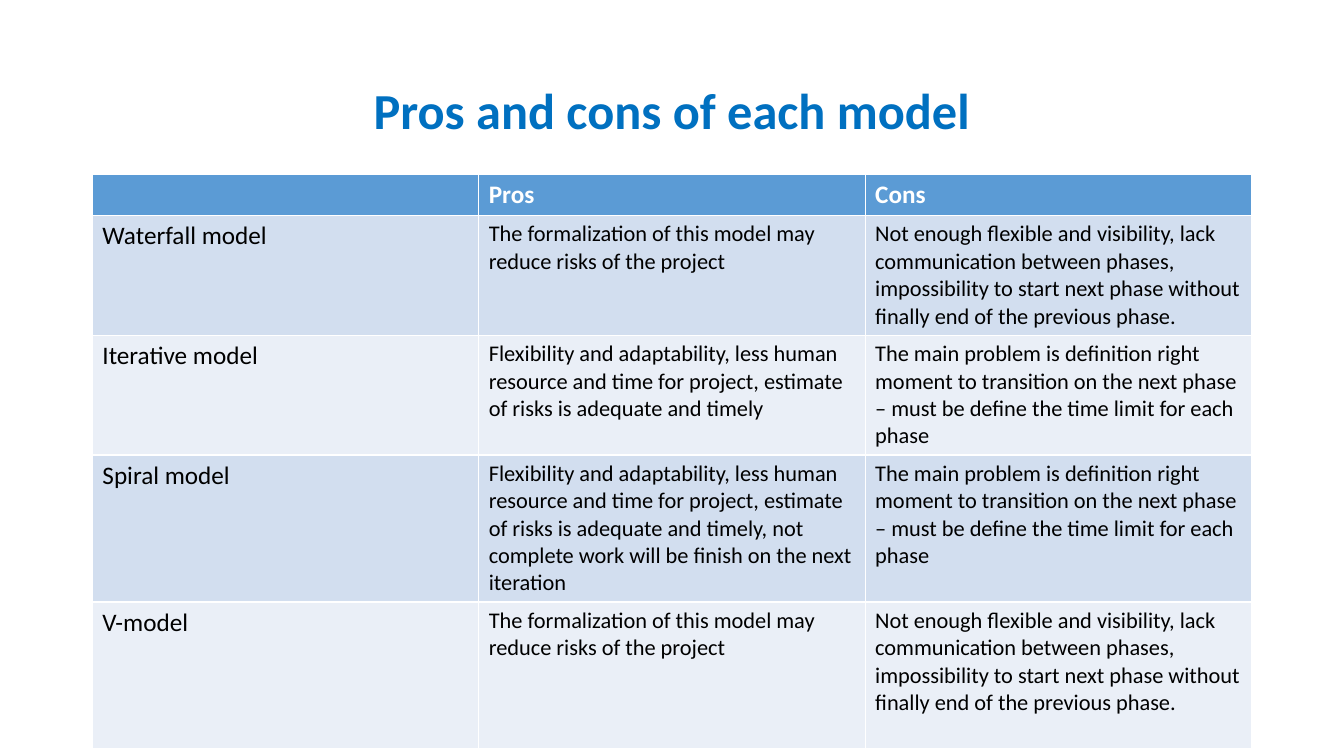
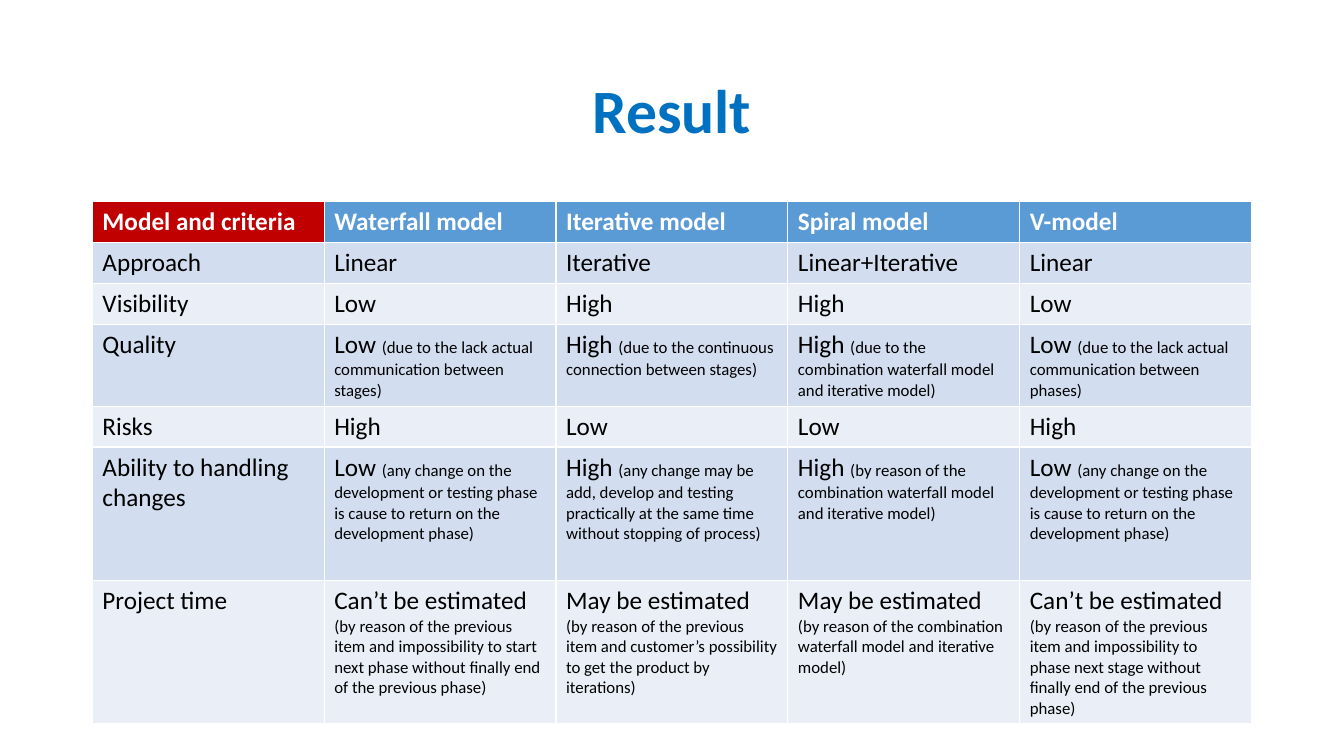
from pptx import Presentation
from pptx.dml.color import RGBColor
from pptx.enum.text import MSO_ANCHOR, MSO_AUTO_SIZE, PP_ALIGN
from pptx.util import Pt

# Shared style
FONT = "Calibri"
TITLE_BLUE = RGBColor(0x00, 0x70, 0xC0)
HEADER_BLUE = RGBColor(0x5B, 0x9B, 0xD5)
CORNER_RED = RGBColor(0xC0, 0x00, 0x00)
BAND_COLOURS = (RGBColor(0xD2, 0xDE, 0xEF), RGBColor(0xEA, 0xEF, 0xF7))
WHITE = RGBColor(0xFF, 0xFF, 0xFF)
BLACK = RGBColor(0x00, 0x00, 0x00)

SLIDE_WIDTH, SLIDE_HEIGHT = 960, 540
MARGIN = 66
CONTENT_WIDTH = SLIDE_WIDTH - 2 * MARGIN
TITLE_BOX = (MARGIN, 28.8, CONTENT_WIDTH, 104.4)
LABEL_SIZE, NOTE_SIZE = 18, 12

# Slide 1 wording
FORMAL_PROS = "The formalization of this model may reduce risks of the project"
FORMAL_CONS = ("Not enough flexible and visibility, lack communication between phases, "
               "impossibility to start next phase without finally end of the previous phase.")
FLEXIBLE_PROS = ("Flexibility and adaptability, less human resource and time for project, "
                 "estimate of risks is adequate and timely")
FLEXIBLE_CONS = ("The main problem is definition right moment to transition on the next phase "
                 "– must be define the time limit for each phase")
PROS_AND_CONS = [
    ("", "Pros", "Cons"),
    ("Waterfall model", FORMAL_PROS, FORMAL_CONS),
    ("Iterative model", FLEXIBLE_PROS, FLEXIBLE_CONS),
    ("Spiral model", FLEXIBLE_PROS + ", not complete work will be finish on the next iteration",
     FLEXIBLE_CONS),
    ("V-model", FORMAL_PROS, FORMAL_CONS),
]

# Slide 2 wording: a cell is a label, or a label with a small note; \v breaks the line
CHANGE_NOTE = ("(any change on the development or testing phase is cause to return "
               "on the development phase)")
COMBINATION = "combination waterfall model and iterative model)"
RESULT = [
    ("Model and criteria", "Waterfall model", "Iterative model", "Spiral model", "V-model"),
    ("Approach", "Linear", "Iterative", "Linear+Iterative", "Linear"),
    ("Visibility", "Low", "High", "High", "Low"),
    ("Quality",
     ("Low ", "(due to the lack actual communication between stages)"),
     ("High ", "(due to the continuous connection between stages)"),
     ("High ", "(due to the " + COMBINATION),
     ("Low ", "(due to the lack actual communication between phases)")),
    ("Risks", "High", "Low", "Low", "High"),
    ("Ability to handling changes",
     ("Low ", CHANGE_NOTE),
     ("High ", "(any change may be add, develop and testing practically at the same time "
               "without stopping of process)"),
     ("High ", "(by reason of the " + COMBINATION),
     ("Low ", CHANGE_NOTE)),
    ("Project time",
     ("Can’t be estimated\v", "(by reason of the previous item and impossibility to start "
                              "next phase without finally end of the previous phase)"),
     ("May be estimated\v", "(by reason of the previous item and customer’s possibility "
                            "to get the product by iterations)"),
     ("May be estimated\v", "(by reason of the " + COMBINATION),
     ("Can’t be estimated\v", "(by reason of the previous item and impossibility to phase "
                              "next stage without finally end of the previous phase)")),
]


def style_font(font, size, colour, bold=False):
    font.name = FONT
    font.size = Pt(size)
    font.bold = bold
    font.color.rgb = colour


def place_title(slide, box, text, size):
    title = slide.shapes.title
    title.left, title.top, title.width, title.height = map(Pt, box)
    frame = title.text_frame
    frame.auto_size = MSO_AUTO_SIZE.NONE
    frame.vertical_anchor = MSO_ANCHOR.MIDDLE
    frame.text = text
    paragraph = frame.paragraphs[0]
    paragraph.alignment = PP_ALIGN.CENTER
    paragraph.line_spacing = 0.9
    style_font(paragraph.font, size, TITLE_BLUE, bold=True)


def fill_cell(cell, content, size, text_colour, fill_colour, bold):
    cell.fill.solid()
    cell.fill.fore_color.rgb = fill_colour
    label, note = (content, "") if isinstance(content, str) else content
    paragraph = cell.text_frame.paragraphs[0]
    paragraph.text = label
    style_font(paragraph.font, size, text_colour, bold)
    if note:
        run = paragraph.add_run()
        run.text = note
        run.font.size = Pt(NOTE_SIZE)


def place_table(slide, box, rows, row_heights, body_size, corner_colour):
    """Header row above banded rows; the first column holds the labels."""
    shape = slide.shapes.add_table(len(rows), len(rows[0]), *map(Pt, box))
    table = shape.table
    for column in table.columns:
        column.width = Pt(box[2] / len(rows[0]))
    for row_index, (contents, height) in enumerate(zip(rows, row_heights)):
        table.rows[row_index].height = Pt(height)
        is_header = row_index == 0
        for column_index, content in enumerate(contents):
            is_label = is_header or column_index == 0
            if is_header:
                fill_colour = HEADER_BLUE if column_index else corner_colour
            else:
                fill_colour = BAND_COLOURS[(row_index - 1) % 2]
            fill_cell(table.cell(row_index, column_index), content,
                      LABEL_SIZE if is_label else body_size,
                      WHITE if is_header else BLACK, fill_colour, is_header)


def add_table_slide(presentation, title, title_size, top, rows, row_heights,
                    body_size=LABEL_SIZE, corner_colour=HEADER_BLUE):
    slide = presentation.slides.add_slide(presentation.slide_layouts[5])
    place_title(slide, TITLE_BOX, title, title_size)
    box = (MARGIN, top, CONTENT_WIDTH, sum(row_heights))
    place_table(slide, box, rows, row_heights, body_size, corner_colour)


def main():
    presentation = Presentation()
    presentation.slide_width = Pt(SLIDE_WIDTH)
    presentation.slide_height = Pt(SLIDE_HEIGHT)
    add_table_slide(presentation, "Pros and cons of each model", 36, 124.8,
                    PROS_AND_CONS, (29, 85.5, 85.5, 104.5, 104.5), body_size=16)
    add_table_slide(presentation, "Result", 44, 144,
                    RESULT, (29, 29, 29, 58.5, 29, 95.5, 101.5), corner_colour=CORNER_RED)
    presentation.save("out.pptx")


if __name__ == "__main__":
    main()
